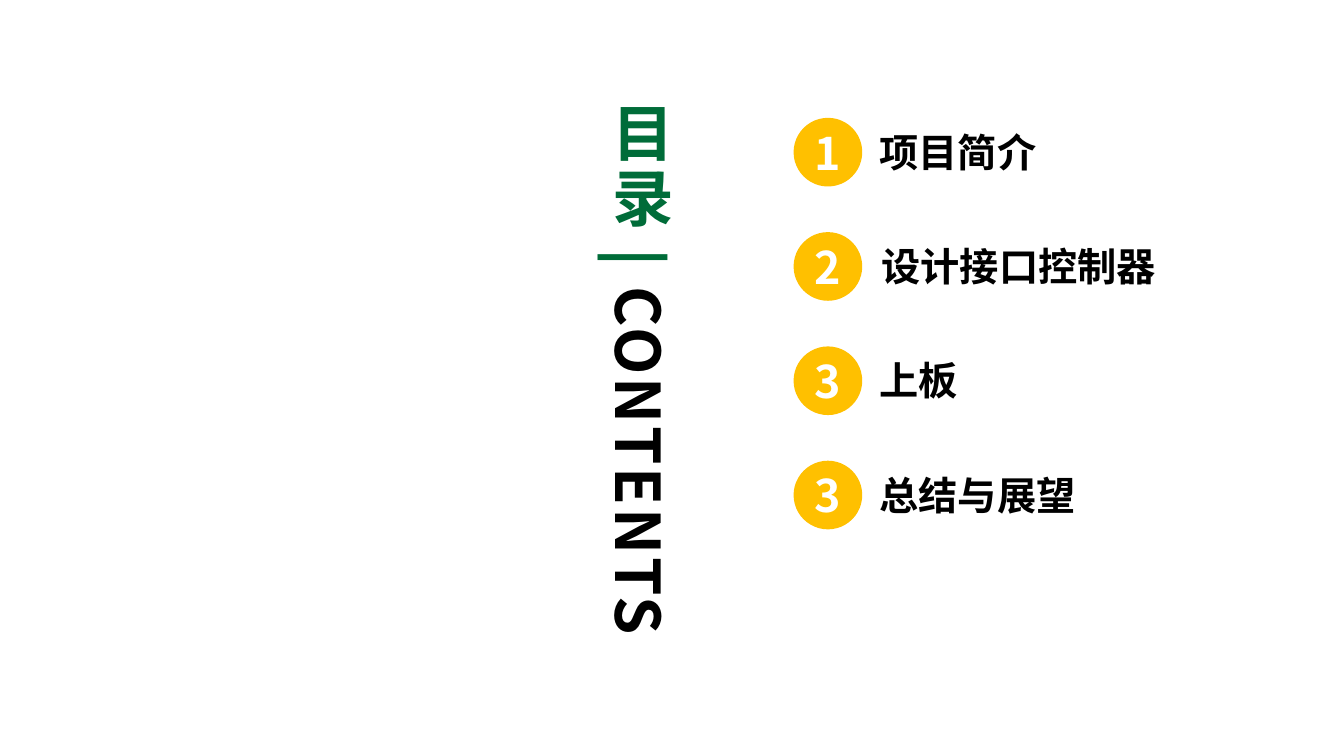
import pptx
import pptx.util
import pptx.dml.color
import pptx.enum.shapes
import pptx.enum.text
import pptx.oxml.ns
import lxml.etree

Cm = pptx.util.Cm
Align = pptx.enum.text.PP_ALIGN
Anchor = pptx.enum.text.MSO_ANCHOR

COLORS = {"green": "006C39", "black": "000000", "white": "FFFFFF", "gold": "FFC000"}
FONT = "Noto Sans CJK SC"
ENTRIES = [
    ("1", "项目简介", 21.92),
    ("2", "设计接口控制器", 21.97),
    ("3", "上板", 21.92),
    ("3", "总结与展望", 21.92),
]
FIRST_TOP = 2.97
ROW_PITCH = 2.88
CIRCLE_LEFT = 20
CIRCLE_SIZE = 1.73
LABEL_INSET = 0.13
LABEL_HEIGHT = 1.45


def color(name):
    return pptx.dml.color.RGBColor.from_string(COLORS[name])


def add_text(para, text, size=28, fill="black", spacing=0):
    span = para.add_run()
    span.text = text
    font = span.font
    font.name = FONT
    font.size = pptx.util.Pt(size)
    font.bold = True
    font.color.rgb = color(fill)
    properties = span._r.get_or_add_rPr()
    east_asian = lxml.etree.SubElement(properties, pptx.oxml.ns.qn("a:ea"))
    east_asian.set("typeface", FONT)
    if spacing:
        properties.set("spc", str(spacing * 100))


class ContentsSlide:
    def __init__(self, deck):
        self.slide = deck.slides.add_slide(deck.slide_layouts[6])

    def text_box(self, left, top, width, height, spans, align=Align.LEFT, vertical=False):
        box = self.slide.shapes.add_textbox(Cm(left), Cm(top), Cm(width), Cm(height))
        frame = box.text_frame
        frame.word_wrap = False
        frame.auto_size = pptx.enum.text.MSO_AUTO_SIZE.SHAPE_TO_FIT_TEXT
        if vertical:
            frame._txBody.bodyPr.set("vert", "eaVert")
        para = frame.paragraphs[0]
        para.alignment = align
        for text, style in spans:
            add_text(para, text, **style)

    def number_circle(self, left, top, size, number):
        circle = self.slide.shapes.add_shape(
            pptx.enum.shapes.MSO_SHAPE.OVAL, Cm(left), Cm(top), Cm(size), Cm(size))
        circle.shadow.inherit = False
        circle.fill.solid()
        circle.fill.fore_color.rgb = color("gold")
        circle.line.fill.background()
        frame = circle.text_frame
        frame.vertical_anchor = Anchor.MIDDLE
        para = frame.paragraphs[0]
        para.alignment = Align.CENTER
        add_text(para, number, size=32, fill="white")


def main():
    deck = pptx.Presentation()
    deck.slide_width = Cm(33.87)
    deck.slide_height = Cm(19.05)
    contents = ContentsSlide(deck)
    title = {"size": 44, "spacing": 2}
    contents.text_box(
        14.81, 2.34, 2.39, 14.55,
        [("目录 | ", {**title, "fill": "green"}), ("CONTENTS", title)],
        align=Align.CENTER, vertical=True)
    for row, (number, label, label_left) in enumerate(ENTRIES):
        top = FIRST_TOP + row * ROW_PITCH
        contents.number_circle(CIRCLE_LEFT, top, CIRCLE_SIZE, number)
        contents.text_box(label_left, top + LABEL_INSET, len(label) + 0.5, LABEL_HEIGHT,
                          [(label, {})])
    deck.save("out.pptx")


if __name__ == "__main__":
    main()
